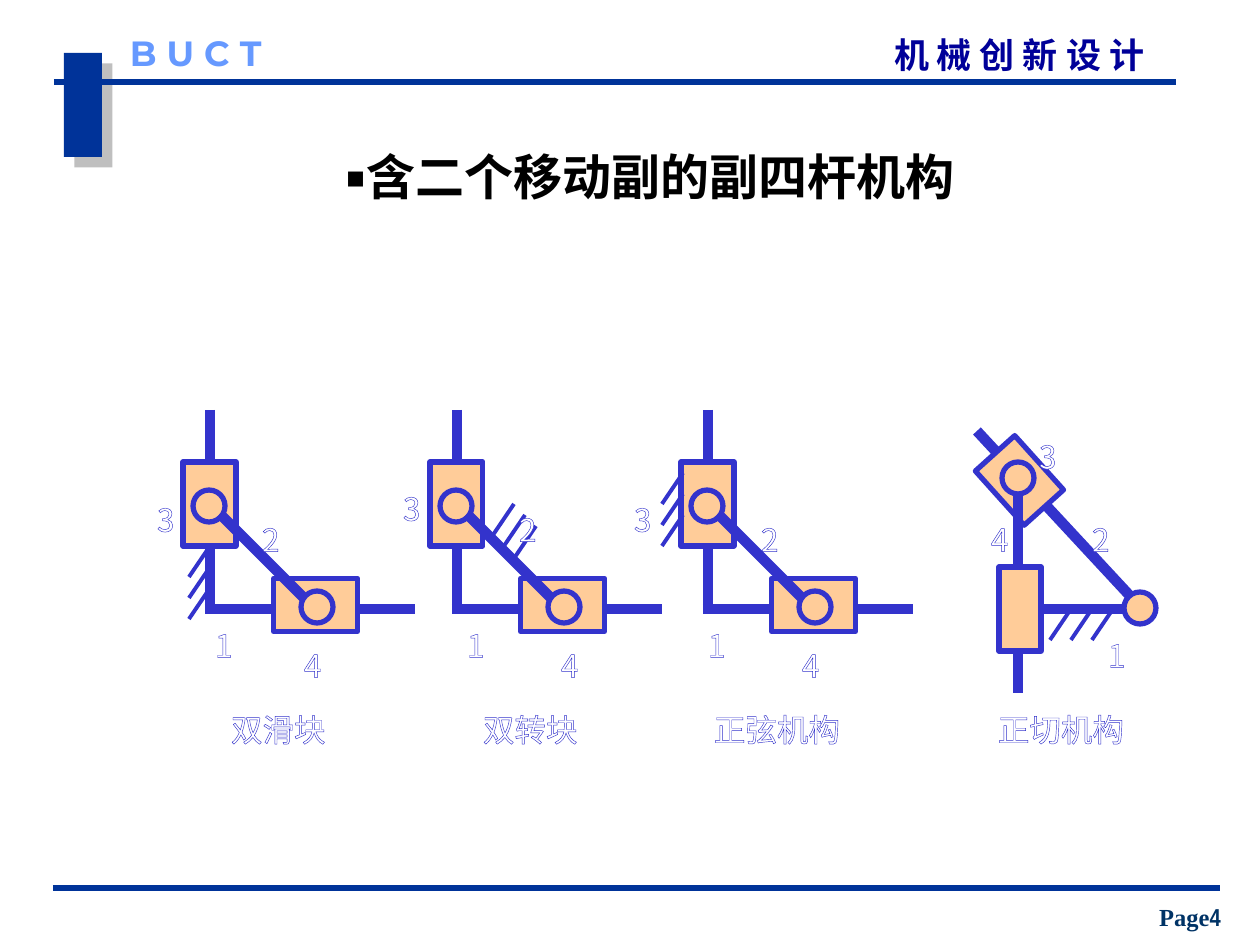
"""Build the slide on four-bar linkages with two sliding pairs."""
from lxml.etree import SubElement
from pptx import Presentation
from pptx.dml.color import RGBColor
from pptx.enum.shapes import MSO_CONNECTOR, MSO_SHAPE as Preset
from pptx.enum.text import MSO_ANCHOR as Anchor, MSO_AUTO_SIZE as AutoSize, PP_ALIGN as Align
from pptx.oxml.ns import qn
from pptx.util import Emu, Pt

PX = 914400 // 126
COLORS = {"navy": "003399", "header": "000099", "school": "6699FF", "page": "003366",
          "black": "000000", "white": "FFFFFF", "link": "3333CC", "block": "FFCC99",
          "shadow": "808080"}
CJK = "Noto Sans CJK SC"

deck = Presentation()
deck.slide_width, deck.slide_height = Emu(1260 * PX), Emu(945 * PX)
slide = deck.slides.add_slide(deck.slide_layouts[5])
shapes = slide.shapes


def draw(kind, box, fill, edge=None, turn=0):
    part = shapes.add_shape(kind, *[Emu(n * PX) for n in box])
    part.shadow.inherit = False
    part.fill.solid()
    part.fill.fore_color.rgb = RGBColor.from_string(COLORS[fill])
    part.rotation = turn
    if edge:
        part.line.color.rgb = RGBColor.from_string(COLORS[edge])
        part.line.width = Pt(3)
    else:
        part.line.fill.background()
    return part


def style(font, size, face, color, bold=True):
    font.size, font.name, font.bold = Pt(size), face, bold
    font.color.rgb = RGBColor.from_string(COLORS[color])
    SubElement(font._element, qn("a:ea")).set("typeface", face)


marker = draw(Preset.RECTANGLE, (64, 53, 38, 104), "navy")
glow = SubElement(marker._element.spPr.find(qn("a:effectLst")), qn("a:outerShdw"),
                  dist=str(Pt(8.5)), dir="2700000", algn="ctr", rotWithShape="0")
tint = SubElement(glow, qn("a:srgbClr"), val=COLORS["shadow"])
SubElement(tint, qn("a:alpha"), val="50000")

for words, box, face, color in [("机 械 创 新 设 计", (894, 33, 309, 42), CJK, "header"),
                                ("B U C T", (130, 31, 179, 42), "Montserrat", "school")]:
    frame = shapes.add_textbox(*[Emu(n * PX) for n in box]).text_frame
    frame.word_wrap = True
    frame.margin_left = frame.margin_right = frame.margin_top = frame.margin_bottom = 0
    frame.text = words
    style(frame.paragraphs[0].font, 20, face, color)

page = shapes.add_textbox(*[Emu(n * PX) for n in (1130, 896, 120, 42)]).text_frame
page.word_wrap = True
page.vertical_anchor = Anchor.BOTTOM

title = shapes.title
title.left, title.top, title.width, title.height = [Emu(n * PX) for n in (126, 163, 1048, 26)]
heading = title.text_frame
heading.auto_size = AutoSize.NONE
heading.vertical_anchor = Anchor.MIDDLE
heading.margin_left = heading.margin_right = heading.margin_top = heading.margin_bottom = 0

for frame, pieces in [
    (page, [("Page", 14, "Times New Roman", "page"), ("4", 14, "Arial Narrow", "page")]),
    (heading, [("￭", 24, "Times New Roman", "black"),
               ("含二个移动副的副四杆机构", 28, CJK, "black")]),
]:
    line = frame.paragraphs[0]
    line.alignment = Align.CENTER
    for words, *look in pieces:
        run = line.add_run()
        run.text = words
        style(run.font, *look)

rods = [("navy", 3, (54, 82, 1176, 82)), ("navy", 3, (53, 888, 1220, 888))]
cranks = []
blocks = []
for x in (210, 457, 708):
    rods += [("link", 6, (x, 410, x, 609)), ("link", 6, (x - 5, 609, x + 205, 609))]
    blocks += [(Preset.RECTANGLE, (x - 27, 462, 53, 84), 0),
               (Preset.RECTANGLE, (x + 79, 563, 53, 84), 90),
               (Preset.OVAL, (x - 17, 490, 32, 32), 0),
               (Preset.OVAL, (x + 91, 591, 32, 32), 0)]
    cranks.append(("link", 6, (x + 10, 514, x + 95, 599)))

rods += [("link", 6, (977, 431, 1144, 611)), ("link", 6, (1008, 609, 1144, 609))]
blocks += [(Preset.RECTANGLE, (983, 454, 73, 53), 48), (Preset.OVAL, (1002, 462, 32, 32), 0),
           (Preset.OVAL, (1124, 592, 32, 32), 0)]
cranks.append(("link", 6, (1018, 494, 1018, 693)))
guide = [(Preset.RECTANGLE, (999, 567, 42, 84), 0)]

hatches = []
for x, y, step_x, step_y in [(210, 546, 0, 21), (514, 504, 11, 11),
                             (683, 473, 0, 21), (1071, 609, 21, 0)]:
    for i in range(3):
        left, top = x + i * step_x, y + i * step_y
        hatches.append(("link", 2.25, (left, top, left - 21, top + 31)))

for links, joints in [(rods, blocks), (cranks, guide), (hatches, [])]:
    for color, weight, ends in links:
        link = shapes.add_connector(MSO_CONNECTOR.STRAIGHT, *[Emu(n * PX) for n in ends])
        link.line.color.rgb = RGBColor.from_string(COLORS[color])
        link.line.width = Pt(weight)
        SubElement(link._element.spPr, qn("a:effectLst"))
    for kind, box, turn in joints:
        draw(kind, box, "block", "link", turn)

labels = {
    "1": [(215, 620), (467, 620), (708, 620), (1108, 630)],
    "2": [(262, 514), (519, 504), (761, 514), (1092, 514)],
    "3": [(157, 494), (403, 483), (634, 494), (1039, 431)],
    "4": [(304, 640), (561, 640), (802, 640), (991, 514)],
    "双滑块": [(231, 704)],
    "双转块": [(483, 704)],
    "正弦机构": [(714, 704)],
    "正切机构": [(998, 704)],
}
for words, places in labels.items():
    width = 18 if words.isdigit() else 32 * len(words)
    for x, y in places:
        frame = shapes.add_textbox(*[Emu(n * PX) for n in (x, y, width, 32)]).text_frame
        frame.word_wrap = False
        frame.margin_left = frame.margin_right = 0
        frame.text = words
        label = frame.paragraphs[0]
        style(label.font, 18, CJK, "white", False)
        outline = SubElement(label.runs[0]._r.get_or_add_rPr(), qn("a:ln"), w=str(Pt(0.75)))
        ink = SubElement(outline, qn("a:solidFill"))
        SubElement(ink, qn("a:srgbClr"), val=COLORS["link"])

deck.save("out.pptx")
